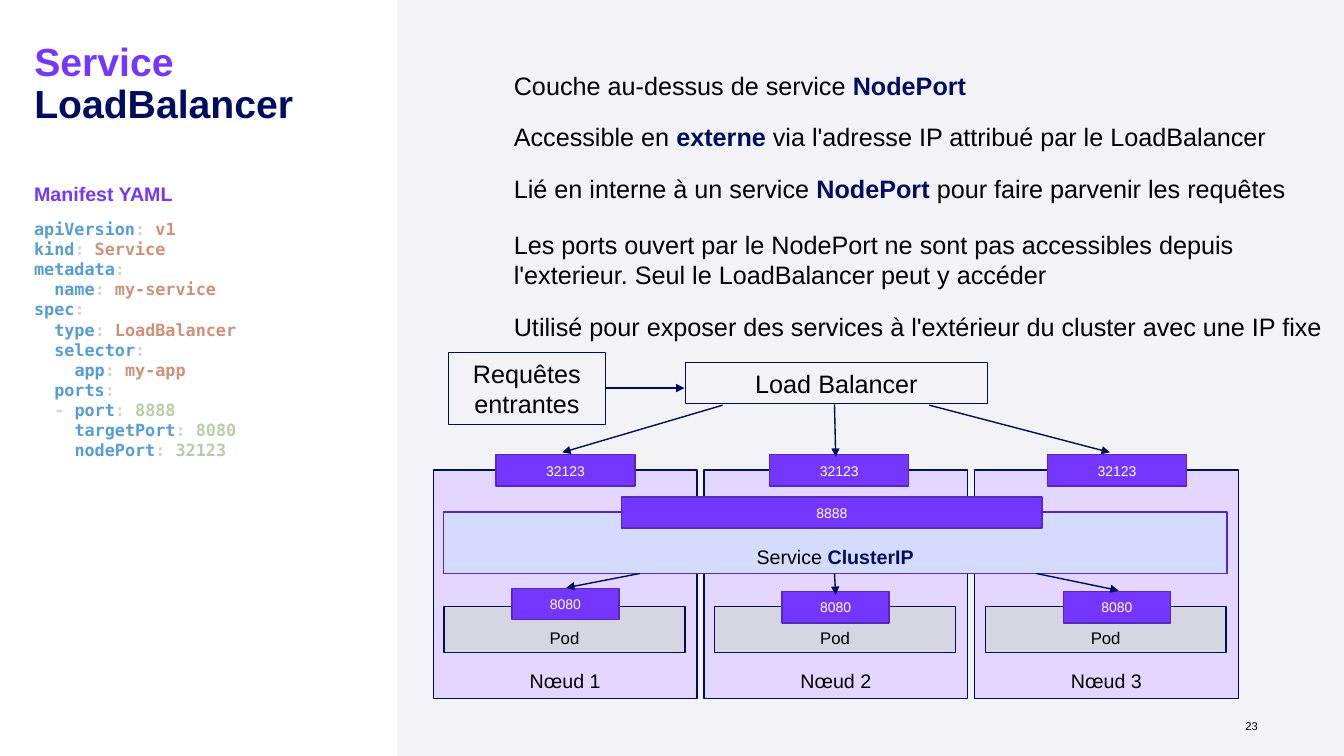
from dataclasses import dataclass

from lxml.etree import SubElement
from pptx import Presentation
from pptx.dml.color import RGBColor as Rgb
from pptx.enum.shapes import MSO_CONNECTOR as Link, MSO_SHAPE as Preset
from pptx.enum.text import MSO_ANCHOR as Anchor, PP_ALIGN as Align
from pptx.oxml.ns import qn
from pptx.util import Cm, Pt


@dataclass(frozen=True)
class Theme:
    sans: str = "Arial"
    mono: str = "DejaVu Sans Mono"
    purple: Rgb = Rgb(0x75, 0x36, 0xFF)
    violet: Rgb = Rgb(0x57, 0x28, 0xBD)
    navy: Rgb = Rgb(0x00, 0x0D, 0x5E)
    black: Rgb = Rgb(0x00, 0x00, 0x00)
    white: Rgb = Rgb(0xFF, 0xFF, 0xFF)
    panel: Rgb = Rgb(0xF3, 0xF3, 0xF7)
    node: Rgb = Rgb(0xE3, 0xD7, 0xFF)
    pod: Rgb = Rgb(0xD6, 0xD6, 0xE3)
    cluster: Rgb = Rgb(0xD5, 0xDB, 0xFF)
    key: Rgb = Rgb(0x56, 0x9C, 0xD6)
    mark: Rgb = Rgb(0xD4, 0xD4, 0xD4)
    word: Rgb = Rgb(0xCE, 0x91, 0x78)
    number: Rgb = Rgb(0xB5, 0xCE, 0xA8)
    title: Pt = Pt(28)
    body: Pt = Pt(18)
    label: Pt = Pt(14)
    small: Pt = Pt(12)
    port: Pt = Pt(10)
    footer: Pt = Pt(8)


theme = Theme()
deck = Presentation()
deck.slide_width, deck.slide_height = Cm(33.87), Cm(19.05)
slide = deck.slides.add_slide(deck.slide_layouts[5])
shapes = slide.shapes


def write(shape, text, size, color=theme.black, align=Align.LEFT, anchor=Anchor.TOP):
    frame = shape.text_frame
    frame.word_wrap = True
    frame.vertical_anchor = anchor
    paragraph = frame.paragraphs[0]
    paragraph.alignment = align
    paragraph.font.name, paragraph.font.size = theme.sans, size
    paragraph.font.color.rgb = color
    for position, part in enumerate(text.split("**")):
        if part:
            run = paragraph.add_run()
            run.text = part
            if position % 2:
                run.font.bold = True
                run.font.color.rgb = theme.navy
    return paragraph


def box(left, top, width, height, fill=None, line=theme.navy, weight=1):
    shape = shapes.add_shape(Preset.RECTANGLE, Cm(left), Cm(top), Cm(width), Cm(height))
    shape.shadow.inherit = False
    if fill is None:
        shape.fill.background()
    else:
        shape.fill.solid()
        shape.fill.fore_color.rgb = fill
    if line is None:
        shape.line.fill.background()
    else:
        shape.line.color.rgb = line
        shape.line.width = Pt(weight)
    return shape


box(10.01, 0, 23.86, 19.05, theme.panel, None)

title = shapes.title
title.left, title.top, title.width, title.height = Cm(0.61), Cm(0.94), Cm(8.84), Cm(4.45)
heading = write(title, "Service **LoadBalancer**", theme.title, theme.purple)
heading.font.bold = True
heading.line_spacing = 0.9

manifest = shapes.add_textbox(Cm(0.61), Cm(4.52), Cm(4.8), Cm(0.86))
manifest_heading = write(manifest, "Manifest YAML", theme.label, theme.purple)
manifest_heading.font.bold = True
manifest_heading.line_spacing = 0.9

page = shapes.add_textbox(Cm(24.33), Cm(18.01), Cm(7.62), Cm(0.66))
write(page, "23", theme.footer, align=Align.RIGHT)

for top, statement in (
    (1.65, "Couche au-dessus de service **NodePort**"),
    (2.92, "Accessible en **externe** via l'adresse IP attribué par le LoadBalancer"),
    (4.24, "Lié en interne à un service **NodePort** pour faire parvenir les requêtes"),
    (5.66, "Les ports ouvert par le NodePort ne sont pas accessibles depuis "
           "l'exterieur. Seul le LoadBalancer peut y accéder"),
    (7.72, "Utilisé pour exposer des services à l'extérieur du cluster avec une IP fixe"),
):
    write(shapes.add_textbox(Cm(12.7), Cm(top), Cm(21.13), Cm(1.02)), statement, theme.body)

yaml = """apiVersion: v1
kind: Service
metadata:
  name: my-service
spec:
  type: LoadBalancer
  selector:
    app: my-app
  ports:
  - port: 8888
    targetPort: 8080
    nodePort: 32123"""
code = shapes.add_textbox(Cm(0.61), Cm(5.38), Cm(7.62), Cm(6.93)).text_frame
code.word_wrap = True
for row, source in enumerate(yaml.split("\n")):
    paragraph = code.add_paragraph() if row else code.paragraphs[0]
    paragraph.font.name, paragraph.font.size = theme.mono, theme.small
    paragraph.font.bold = True
    entry = source.lstrip(" -")
    lead = source[:len(source) - len(entry)]
    key, colon, value = entry.partition(":")
    value_color = theme.number if value.strip().isdigit() else theme.word
    for token, color in ((lead, theme.mark), (key, theme.key),
                         (colon, theme.mark), (value, value_color)):
        if token:
            run = paragraph.add_run()
            run.text = token
            run.font.color.rgb = color

node_left, node_pitch = 10.92, 6.82
for index in range(3):
    left = node_left + index * node_pitch
    box(left, 11.84, 6.65, 5.76, theme.node)
    pod = box(left + 0.27, 15.29, 6.07, 1.15, theme.pod)
    write(pod, "Pod", theme.small, align=Align.CENTER, anchor=Anchor.BOTTOM)
    name = shapes.add_textbox(Cm(left), Cm(16.74), Cm(6.65), Cm(0.86))
    write(name, f"Nœud {index + 1}", theme.label, align=Align.CENTER)

cluster = box(11.18, 12.9, 19.74, 1.55, theme.cluster, theme.violet)
write(cluster, "Service **ClusterIP**", theme.label, align=Align.CENTER, anchor=Anchor.BOTTOM)

for left, top, width, port in (
    (12.9, 14.83, 2.7, "8080"),
    (19.71, 14.91, 2.7, "8080"),
    (26.8, 14.91, 2.7, "8080"),
    (15.67, 12.52, 10.59, "8888"),
    (12.5, 11.46, 3.5, "32123"),
    (19.4, 11.46, 3.5, "32123"),
    (26.4, 11.46, 3.5, "32123"),
):
    badge = box(left, top, width, 0.79, theme.purple, theme.violet)
    write(badge, port, theme.port, theme.white, Align.CENTER, Anchor.MIDDLE)

for left, top, width, height, role in (
    (17.27, 9.14, 7.62, 1.02, "Load Balancer"),
    (11.3, 8.89, 3.96, 1.8, "Requêtes entrantes"),
):
    actor = box(left, top, width, height, weight=0.75)
    write(actor, role, theme.body, align=Align.CENTER, anchor=Anchor.MIDDLE)

for start_x, start_y, end_x, end_y in (
    (16.13, 14.45, 14.27, 14.81),
    (21.03, 14.45, 21.06, 14.99),
    (26.11, 14.45, 28.19, 14.88),
    (18.21, 10.21, 14.17, 11.4),
    (21.03, 10.19, 21.06, 11.51),
    (23.42, 10.21, 27.97, 11.4),
    (15.27, 9.78, 17.25, 9.78),
):
    flow = shapes.add_connector(Link.STRAIGHT, Cm(start_x), Cm(start_y), Cm(end_x), Cm(end_y))
    flow.line.color.rgb = theme.navy
    flow.line.width = Pt(1)
    SubElement(flow.line._get_or_add_ln(), qn("a:tailEnd"), type="triangle")
    SubElement(flow._element.spPr, qn("a:effectLst"))

deck.save("out.pptx")
